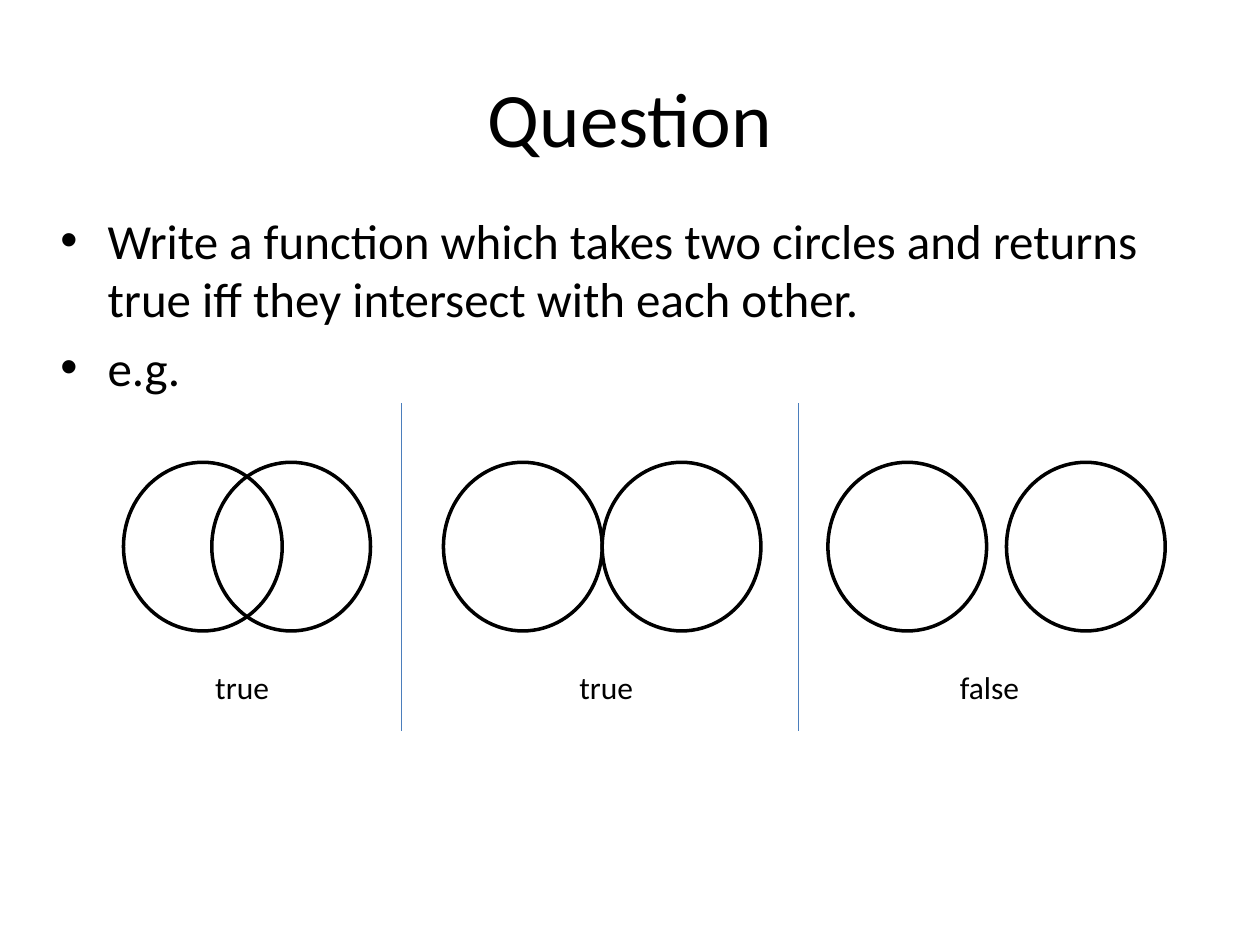
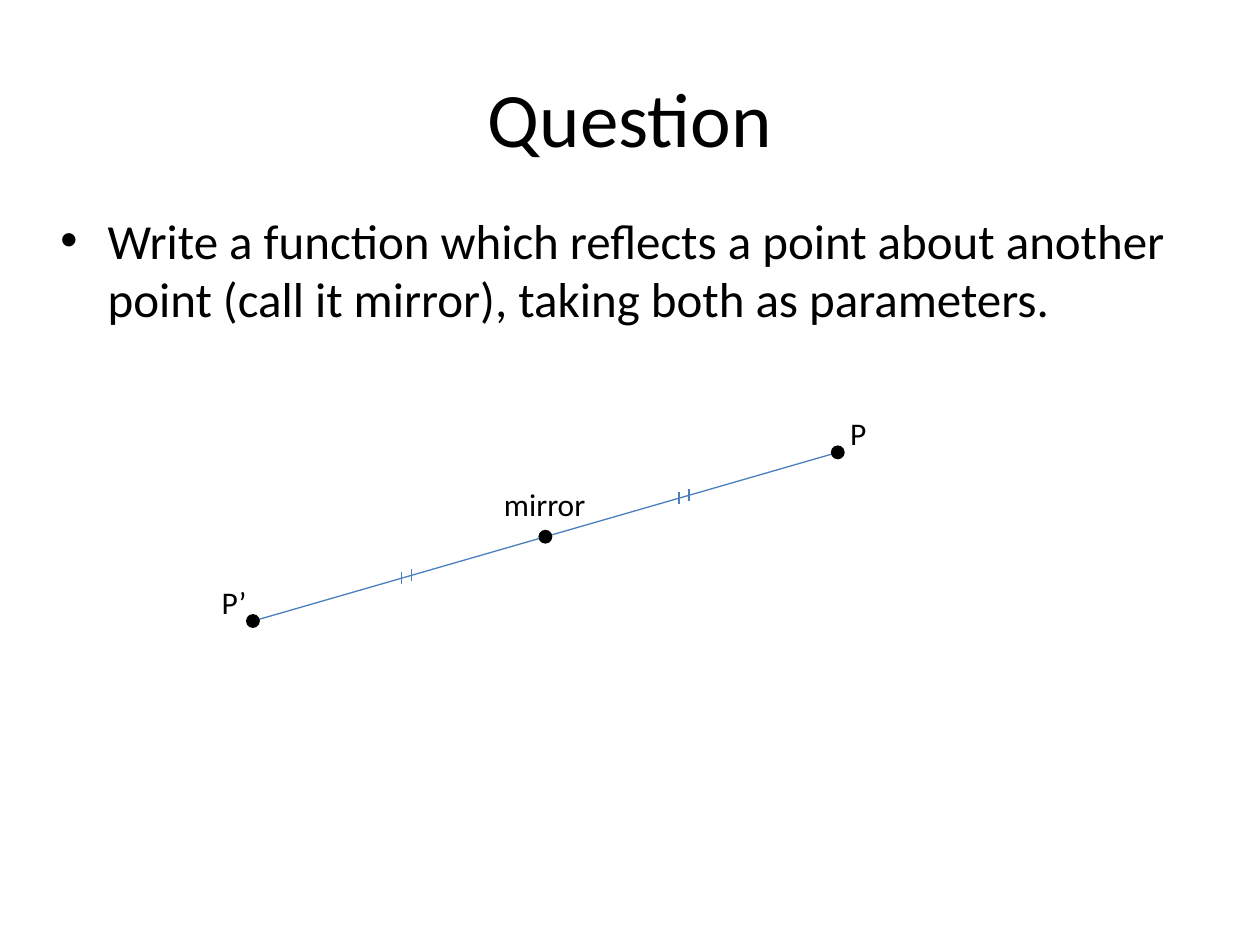
from lxml.etree import SubElement
from pptx import Presentation
from pptx.dml.color import RGBColor
from pptx.enum.shapes import MSO_CONNECTOR as Connector, MSO_SHAPE as Shape
from pptx.enum.text import MSO_ANCHOR as Anchor, MSO_AUTO_SIZE as AutoSize, PP_ALIGN as Align
from pptx.oxml.ns import qn
from pptx.util import Cm, Pt

FONT = "Calibri"
BLACK = "000000"
BLUE = "4B7EBC"


def color(value):
    return RGBColor.from_string(value)


class Deck:
    def __init__(self):
        self.presentation = Presentation()
        self.presentation.slide_width = Cm(25.4)
        self.presentation.slide_height = Cm(19.05)
        self.slide = None

    def run(self, paragraph, text, size):
        run = paragraph.add_run()
        run.text = text
        run.font.name = FONT
        run.font.size = Pt(size)
        run.font.color.rgb = color(BLACK)

    def new_slide(self, title):
        layout = self.presentation.slide_layouts.get_by_name("Title Only")
        self.slide = self.presentation.slides.add_slide(layout)
        shape = self.slide.shapes.title
        shape.left, shape.top = Cm(1.27), Cm(0.76)
        shape.width, shape.height = Cm(22.86), Cm(3.18)
        shape.text_frame.vertical_anchor = Anchor.MIDDLE
        paragraph = shape.text_frame.paragraphs[0]
        paragraph.alignment = Align.CENTER
        self.run(paragraph, title, 44)

    def text_box(self, left, top, width, height, wrap):
        shape = self.slide.shapes.add_textbox(Cm(left), Cm(top), Cm(width), Cm(height))
        shape.text_frame.word_wrap = wrap
        return shape.text_frame

    def bullets(self, *items):
        frame = self.text_box(0.97, 4.11, 23.34, 12.8, True)
        for index, item in enumerate(items):
            paragraph = frame.add_paragraph() if index else frame.paragraphs[0]
            paragraph.space_before = Pt(5.6)
            self.run(paragraph, item, 28)
            properties = paragraph._p.get_or_add_pPr()
            properties.set("marL", str(Cm(0.95)))
            properties.set("indent", str(-Cm(0.95)))
            SubElement(properties, qn("a:buFont"), typeface="Arial")
            SubElement(properties, qn("a:buChar"), char="•")

    def label(self, text, left, top, width):
        frame = self.text_box(left, top, width, 1.02, False)
        frame.auto_size = AutoSize.SHAPE_TO_FIT_TEXT
        self.run(frame.paragraphs[0], text, 18)

    def ellipse(self, left, top, width, height):
        shape = self.slide.shapes.add_shape(
            Shape.OVAL, Cm(left), Cm(top), Cm(width), Cm(height))
        shape.shadow.inherit = False
        return shape

    def circle(self, left, top):
        shape = self.ellipse(left, top, 3.2, 3.4)
        shape.fill.background()
        shape.line.color.rgb = color(BLACK)
        shape.line.width = Pt(2)

    def dot(self, x, y, size=0.28):
        shape = self.ellipse(x - size / 2, y - size / 2, size, size)
        shape.fill.solid()
        shape.fill.fore_color.rgb = color(BLACK)
        shape.line.fill.background()

    def line(self, x1, y1, x2, y2):
        connector = self.slide.shapes.add_connector(
            Connector.STRAIGHT, Cm(x1), Cm(y1), Cm(x2), Cm(y2))
        connector.line.color.rgb = color(BLUE)
        connector.line.width = Pt(0.75)
        SubElement(connector._element.spPr, qn("a:effectLst"))


deck = Deck()

deck.new_slide("Question")
deck.bullets(
    "Write a function which takes two circles and returns true iff they intersect with each other.",
    "e.g.")
examples = [
    (2.49, 4.27, "true", 4.09, 1.6),
    (8.94, 12.14, "true", 11.43, 1.6),
    (16.69, 20.29, "false", 19.1, 1.73),
]
for first_left, second_left, answer, answer_left, answer_width in examples:
    deck.circle(first_left, 9.32)
    deck.circle(second_left, 9.32)
    deck.label(answer, answer_left, 13.34, answer_width)
for divider in (8.1, 16.1):
    deck.line(divider, 8.13, divider, 14.73)

deck.new_slide("Question")
deck.bullets(
    "Write a function which reflects a point about another point (call it mirror), "
    "taking both as parameters.")
image_x, image_y = 5.1, 12.52
point_x, point_y = 16.89, 9.12
slope = (point_y - image_y) / (point_x - image_x)
deck.line(image_x, image_y, point_x, point_y)
deck.dot(point_x, point_y)
deck.dot(image_x, image_y)
deck.dot((image_x + point_x) / 2, (image_y + point_y) / 2)
deck.label("mirror", 9.91, 9.65, 2.16)
deck.label("P", 16.89, 8.23, 0.84)
deck.label("P’", 4.22, 11.63, 1.02)
for pair_x in (13.69, 8.1):
    for tick_x in (pair_x, pair_x + 0.2):
        tick_y = image_y + slope * (tick_x - image_x)
        deck.line(tick_x, tick_y - 0.12, tick_x, tick_y + 0.12)

deck.presentation.save("out.pptx")
